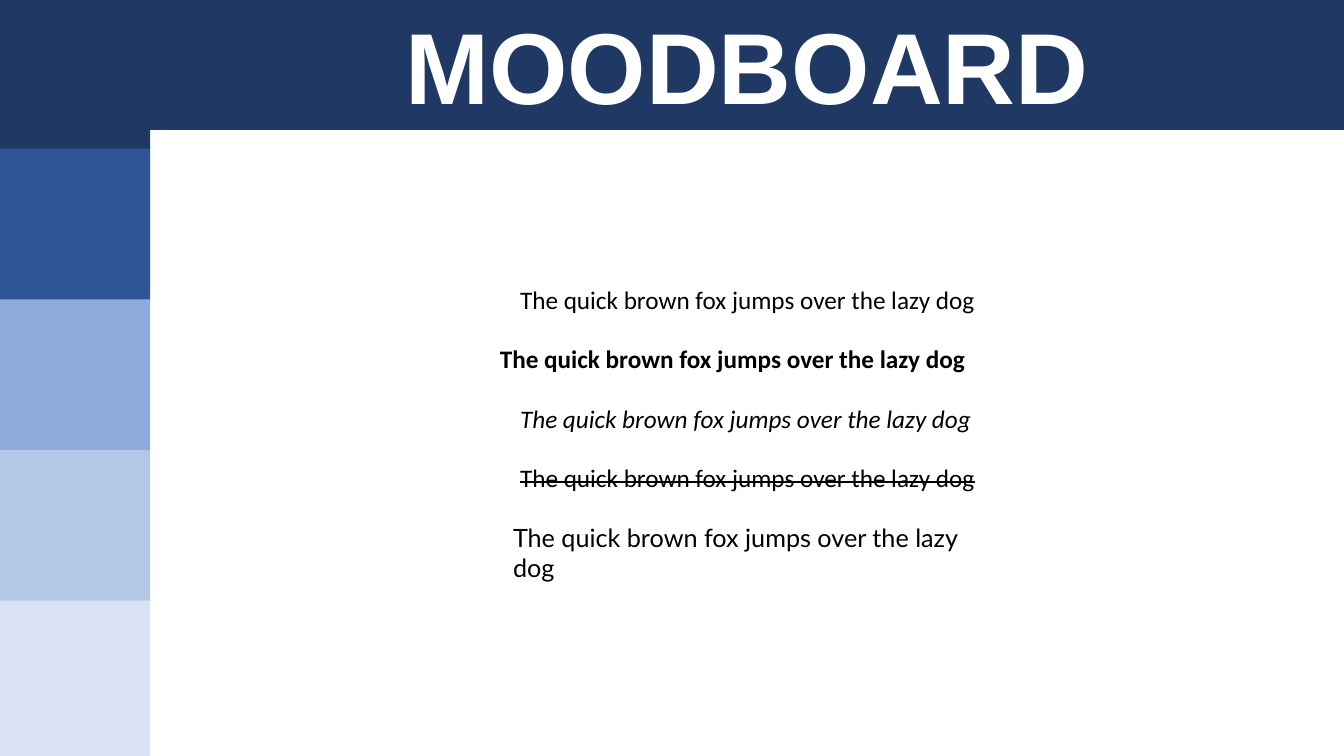
import pptx
import pptx.util
import pptx.dml.color
import pptx.enum.shapes
import pptx.enum.text

Inches = pptx.util.Inches
RGBColor = pptx.dml.color.RGBColor
NAVY = RGBColor(0x20, 0x38, 0x64)
BLUE = RGBColor(0x2F, 0x55, 0x97)
MID_BLUE = RGBColor(0x8F, 0xAA, 0xDC)
LIGHT_BLUE = RGBColor(0xB4, 0xC7, 0xE7)
PALE_BLUE = RGBColor(0xDA, 0xE3, 0xF3)
WHITE = RGBColor(0xFF, 0xFF, 0xFF)
BLACK = RGBColor(0, 0, 0)


def write(tf, text, size=18, font="Calibri", color=BLACK, bold=False,
          italic=False, strike=False, align=pptx.enum.text.PP_ALIGN.LEFT):
    tf.word_wrap = True
    p = tf.paragraphs[0]
    p.alignment = align
    r = p.add_run()
    r.text = text
    r.font.size = pptx.util.Pt(size)
    r.font.name = font
    r.font.color.rgb = color
    r.font.bold = bold
    r.font.italic = italic
    if strike:
        r.font._element.set("strike", "sngStrike")


prs = pptx.Presentation()
prs.slide_width = Inches(13.33)
prs.slide_height = Inches(7.5)
s = prs.slides.add_slide(prs.slide_layouts[5])

swatches = [NAVY, BLUE, MID_BLUE, LIGHT_BLUE, PALE_BLUE]
for i, color in enumerate(swatches):
    top = -0.02 + 1.495 * i
    height = 1.54 if color == PALE_BLUE else 1.5
    sp = s.shapes.add_shape(pptx.enum.shapes.MSO_SHAPE.RECTANGLE,
                            Inches(-0.01), Inches(top), Inches(1.5), Inches(height))
    sp.shadow.inherit = False
    sp.fill.solid()
    sp.fill.fore_color.rgb = color
    sp.line.fill.background()

title = s.shapes.title
title.left, title.top = Inches(1.49), Inches(-0.02)
title.width, title.height = Inches(11.84), Inches(1.31)
title.fill.solid()
title.fill.fore_color.rgb = NAVY
title.text_frame.auto_size = pptx.enum.text.MSO_AUTO_SIZE.NONE
title.text_frame.vertical_anchor = pptx.enum.text.MSO_ANCHOR.MIDDLE
write(title.text_frame, "MOODBOARD", size=72, font="Arial", color=WHITE,
      bold=True, align=pptx.enum.text.PP_ALIGN.CENTER)

samples = [
    (5.06, 4.74, {}),
    (4.86, 5.11, {"bold": True}),
    (5.06, 4.74, {"italic": True}),
    (5.06, 4.74, {"strike": True}),
    (4.99, 4.83, {"font": "Lato"}),
]
for i, (left, width, style) in enumerate(samples):
    sp = s.shapes.add_textbox(Inches(left), Inches(2.77 + 0.59 * i),
                              Inches(width), Inches(0.4))
    write(sp.text_frame, "The quick brown fox jumps over the lazy dog", **style)

prs.save("out.pptx")
